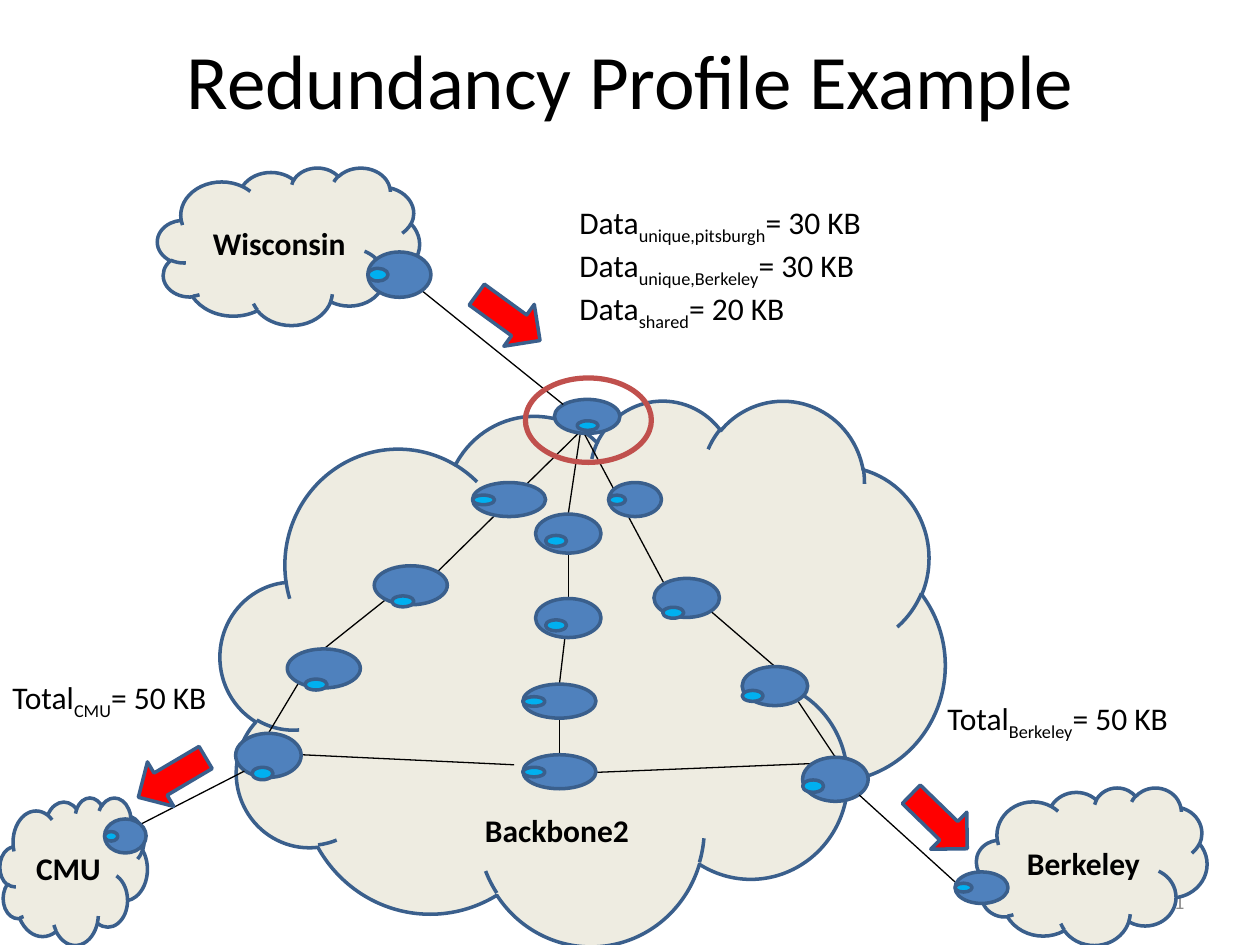
import dataclasses
import pptx
import pptx.util
import pptx.dml.color
import pptx.enum.shapes
import pptx.enum.text
import pptx.oxml.ns
import lxml.etree

SHAPE = pptx.enum.shapes.MSO_SHAPE
ALIGN = pptx.enum.text.PP_ALIGN
ANCHOR = pptx.enum.text.MSO_ANCHOR
COLUMNS, ROWS = 100, 75
WIDTH, HEIGHT = pptx.util.Inches(10), pptx.util.Inches(7.5)


@dataclasses.dataclass(frozen=True)
class Theme:
    font: str = "Calibri"
    ink: str = "000000"
    muted: str = "8C8C8C"
    cloud: str = "EEECE1"
    router: str = "4F81BD"
    chip: str = "00B0F0"
    flow: str = "FF0000"
    outline: str = "3A5F8C"
    highlight: str = "C0504D"
    title_size: float = 44
    body_size: float = 18
    number_size: float = 12
    outline_width: float = 2
    highlight_width: float = 3
    link_width: float = 0.75


@dataclasses.dataclass(frozen=True)
class Box:
    x: float
    y: float
    w: float
    h: float

    def inner(self, x, y, w=0, h=0):
        return Box(self.x + x, self.y + y, w, h)

    def lengths(self):
        across, down = WIDTH / COLUMNS, HEIGHT / ROWS
        return [round(n) for n in (self.x * across, self.y * down, self.w * across, self.h * down)]


THEME = Theme()
SLIDE = Box(0, 0, COLUMNS, ROWS)


def rgb(color):
    return pptx.dml.color.RGBColor.from_string(color)


def add_span(para, text, size=THEME.body_size, color=THEME.ink, bold=False, subscript=False):
    span = para.add_run()
    span.text = text
    span.font.name = THEME.font
    span.font.size = pptx.util.Pt(size)
    span.font.bold = bold
    span.font.color.rgb = rgb(color)
    if subscript:
        span.font._element.set("baseline", "-25000")


def add_shape(page, kind, box, fill=None, line=THEME.outline, width=THEME.outline_width):
    shape = page.shapes.add_shape(kind, *box.lengths())
    shape.shadow.inherit = False
    if fill:
        shape.fill.solid()
        shape.fill.fore_color.rgb = rgb(fill)
    else:
        shape.fill.background()
    shape.line.color.rgb = rgb(line)
    shape.line.width = pptx.util.Pt(width)
    return shape


def add_cloud(page, box, name, top_inset=0.05):
    cloud = add_shape(page, SHAPE.CLOUD, box, THEME.cloud)
    frame = cloud.text_frame
    frame.margin_top = pptx.util.Inches(top_inset)
    frame.vertical_anchor = ANCHOR.MIDDLE
    para = frame.paragraphs[0]
    para.alignment = ALIGN.CENTER
    add_span(para, name, bold=True)


def add_router(page, box, chip_x, chip_y):
    add_shape(page, SHAPE.OVAL, box, THEME.router)
    chip = box.inner(chip_x, chip_y, min(1.75, box.w * 0.32), box.h * 0.28)
    add_shape(page, SHAPE.OVAL, chip, THEME.chip)


def add_link(page, box, start, end):
    x1, y1, _, _ = box.inner(*start).lengths()
    x2, y2, _, _ = box.inner(*end).lengths()
    link = page.shapes.add_connector(pptx.enum.shapes.MSO_CONNECTOR.STRAIGHT, x1, y1, x2, y2)
    link.line.color.rgb = rgb(THEME.ink)
    link.line.width = pptx.util.Pt(THEME.link_width)
    properties = link._element.spPr
    lxml.etree.SubElement(properties, pptx.oxml.ns.qn("a:effectLst"))


def add_text(page, box):
    frame = page.shapes.add_textbox(*box.lengths()).text_frame
    frame.word_wrap = True
    return frame


def add_amounts(page, box, rows):
    frame = add_text(page, box)
    for index, (name, subscript, amount) in enumerate(rows):
        para = frame.add_paragraph() if index else frame.paragraphs[0]
        add_span(para, name)
        add_span(para, subscript, subscript=True)
        add_span(para, "= " + amount)


def add_title(page, box, text):
    title = page.shapes.title
    title.left, title.top, title.width, title.height = box.lengths()
    title.text_frame.vertical_anchor = ANCHOR.MIDDLE
    para = title.text_frame.paragraphs[0]
    para.alignment = ALIGN.CENTER
    add_span(para, text, THEME.title_size)


def add_number(page, box, text):
    frame = add_text(page, box)
    frame.vertical_anchor = ANCHOR.MIDDLE
    para = frame.paragraphs[0]
    para.alignment = ALIGN.RIGHT
    add_span(para, text, THEME.number_size, THEME.muted)


def add_core(page, box, links, routers):
    add_cloud(page, box, "Backbone2", top_inset=2.75)
    for start, end in links:
        add_link(page, box, start, end)
    for x, y, w, h, chip_x, chip_y in routers:
        add_router(page, box.inner(x, y, w, h), chip_x, chip_y)


def add_site(page, box, name, gateway, chip_y, link, arrow, turn):
    add_cloud(page, box, name)
    add_link(page, box, *link)
    add_router(page, box.inner(*gateway), 0, chip_y)
    flow = add_shape(page, SHAPE.DOWN_ARROW, box.inner(*arrow, 4.1, 6.2), THEME.flow)
    flow.rotation = turn


CORE_LINKS = [
    ((28.7, 2.4), (17.2, 13.7)), ((13.1, 15.9), (8.2, 19.8)), ((6.2, 22.5), (3.8, 26.5)),
    ((28.7, 2.4), (35.2, 14.6)), ((38.9, 16.8), (44, 21.2)), ((45.8, 23.9), (48.8, 28.4)),
    ((28.6, 2.4), (27.6, 9.1)), ((27.6, 12.2), (27.6, 15.8)), ((27.5, 17.5), (26.9, 22.6)),
    ((26.9, 25.3), (26.9, 28.2)), ((23.3, 29), (6.4, 28.2)), ((29.8, 29.6), (47, 28.9)),
]
CORE_ROUTERS = [
    (26.5, 0, 5.2, 2.7, 1.8, 1.7),
    (20, 6.6, 5.8, 2.7, 0, 1),
    (12.2, 13.2, 5.8, 3.1, 1.4, 2.4),
    (5.3, 19.8, 5.8, 3.1, 1.4, 2.4),
    (1.2, 26.5, 5.2, 3.5, 1.3, 2.7),
    (25, 9.1, 5.2, 3.1, 0.8, 1.7),
    (25, 15.8, 5.2, 3.1, 0.8, 1.7),
    (24, 22.6, 5.8, 2.7, 0, 1),
    (24, 28.2, 5.8, 2.7, 0, 1),
    (30.8, 6.6, 4.2, 2.7, 0, 1),
    (34.4, 14.2, 5.2, 3.1, 0.7, 2.3),
    (41.4, 21.2, 5.2, 3.1, 0, 1.9),
    (46.2, 28.4, 5.2, 3.5, 0, 1.8),
]
SITES = [
    (Box(12.5, 13.3, 20.8, 12.5), "Wisconsin", (16.7, 6.7, 5, 3.6), 1.3,
     ((20.9, 9.7), (32.2, 18.8)), (25.8, 8.8), 306),
    (Box(0, 63.3, 11.7, 11.7), "CMU", (8.3, 1.7, 3.3, 2.7), 1,
     ((19.4, -2.1), (11.2, 2.1)), (11.6, -4.7), 59.4),
    (Box(77.5, 62.5, 18.3, 12.5), "Berkeley", (-1.7, 6.7, 4.2, 2.5), 0.9,
     ((-9.3, 0.6), (-1.7, 7.5)), (-5, -0.4), 314.2),
]
AMOUNTS = [
    (SLIDE.inner(45, 15.6, 28.3, 13.1), [
        ("Data", "unique,pitsburgh", "30 KB"),
        ("Data", "unique,Berkeley", "30 KB"),
        ("Data", "shared", "20 KB")]),
    (SLIDE.inner(0, 53.3, 21.7, 4), [("Total", "CMU", "50 KB")]),
    (SLIDE.inner(74.2, 55, 21.7, 4), [("Total", "Berkeley", "50 KB")]),
]

deck = pptx.Presentation()
deck.slide_width, deck.slide_height = WIDTH, HEIGHT
page = deck.slides.add_slide(deck.slide_layouts[5])
add_title(page, SLIDE.inner(4.2, 0, 91.7, 12.5), "Redundancy Profile Example")
add_number(page, SLIDE.inner(71.7, 69.5, 23.3, 4), "11")
add_core(page, SLIDE.inner(17.5, 31.7, 57.5, 43.3), CORE_LINKS, CORE_ROUTERS)
for site in SITES:
    add_site(page, *site)
for box, rows in AMOUNTS:
    add_amounts(page, box, rows)
add_shape(page, SHAPE.OVAL, SLIDE.inner(41.7, 30, 10, 6.7),
          line=THEME.highlight, width=THEME.highlight_width)
deck.save("out.pptx")
